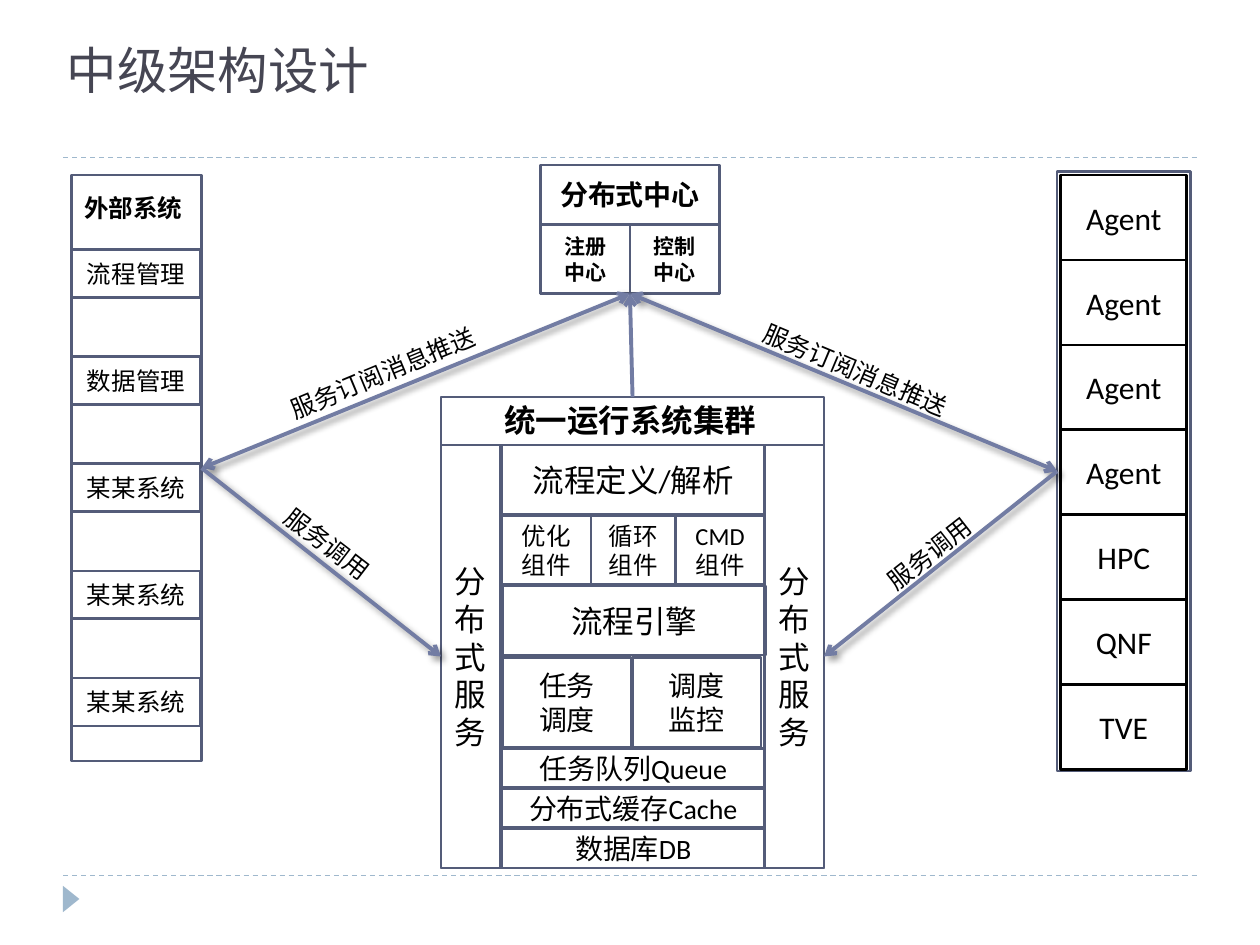
from pptx import Presentation
from pptx.dml.color import RGBColor
from pptx.enum.dml import MSO_LINE
from pptx.enum.shapes import MSO_CONNECTOR, MSO_SHAPE
from pptx.enum.text import MSO_ANCHOR, MSO_AUTO_SIZE, PP_ALIGN
from pptx.oxml import parse_xml
from pptx.oxml.ns import nsdecls, qn
from pptx.util import Pt

BLACK = RGBColor(0x00, 0x00, 0x00)
WHITE = RGBColor(0xFF, 0xFF, 0xFF)
TITLE = RGBColor(0x46, 0x46, 0x53)
BORDER = RGBColor(0x54, 0x5C, 0x79)
ARROW = RGBColor(0x72, 0x7C, 0xA3)
ACCENT = RGBColor(0x9F, 0xB8, 0xCD)

SHADOW = (
    f'<a:effectLst {nsdecls("a")}><a:outerShdw blurRad="50800" dist="38100" dir="2700000">'
    '<a:srgbClr val="000000"><a:alpha val="40000"/></a:srgbClr></a:outerShdw></a:effectLst>'
)
NO_SHADOW = f'<a:effectLst {nsdecls("a")}/>'


def add_box(shapes, bounds, text="", size=14, bold=False, border=BORDER):
    """Add centred text in an unfilled rectangle, or in a text box if border is None."""
    bounds = [Pt(value) for value in bounds]
    if border is None:
        shape = shapes.add_textbox(*bounds)
    else:
        shape = shapes.add_shape(MSO_SHAPE.RECTANGLE, *bounds)
        shape.shadow.inherit = False
        shape.fill.background()
        shape.line.color.rgb = border
        shape.line.width = Pt(1.5)
    frame = shape.text_frame
    frame.word_wrap = True
    frame.vertical_anchor = MSO_ANCHOR.MIDDLE
    if text:
        for index, line in enumerate(text.split("\n")):
            paragraph = frame.paragraphs[0] if index == 0 else frame.add_paragraph()
            paragraph.alignment = PP_ALIGN.CENTER
            run = paragraph.add_run()
            run.text = line
            run.font.name = "Calibri"
            run.font.size = Pt(size)
            run.font.bold = bold
            run.font.color.rgb = BLACK
    return shape


def add_line(shapes, start, end, color, width, effects=NO_SHADOW):
    connector = shapes.add_connector(
        MSO_CONNECTOR.STRAIGHT, *[Pt(value) for value in (*start, *end)]
    )
    connector.line.color.rgb = color
    connector.line.width = Pt(width)
    connector._element.spPr.append(parse_xml(effects))
    return connector


presentation = Presentation()
presentation.slide_width = Pt(720)
presentation.slide_height = Pt(540)
slide = presentation.slides.add_slide(presentation.slide_layouts[6])
shapes = slide.shapes
slide.background.fill.solid()
slide.background.fill.fore_color.rgb = WHITE

# Page frame and title
for y in (500.4, 90):
    rule = add_line(shapes, (36, y), (684, y), ACCENT, 0.75)
    rule.line.dash_style = MSO_LINE.DASH

marker = shapes.add_shape(
    MSO_SHAPE.ISOSCELES_TRIANGLE, Pt(33.1), Pt(509), Pt(15.1), Pt(9.4)
)
marker.rotation = 90
marker.shadow.inherit = False
marker.fill.solid()
marker.fill.fore_color.rgb = ACCENT
marker.line.fill.background()

title = add_box(shapes, (31, 20.9, 648, 39.6), "中级架构设计", 28.8, border=None)
title.text_frame.vertical_anchor = MSO_ANCHOR.BOTTOM
title_paragraph = title.text_frame.paragraphs[0]
title_paragraph.alignment = PP_ALIGN.LEFT
title_paragraph.runs[0].font.name = "Roboto Slab"
title_paragraph.runs[0].font.color.rgb = TITLE

# Agents on the right
agents = add_box(shapes, (604.1, 97.9, 76.3, 342.7))
for row, name in enumerate(["Agent"] * 4 + ["HPC", "QNF", "TVE"]):
    add_box(shapes, (606.2, 100.1 + 48.5 * row, 72, 48.5), name, 18, border=BLACK)

# Distributed centre at the top
center_group = shapes.add_group_shape().shapes
center = add_box(center_group, (308.9, 94.3, 102.2, 73.5))
add_box(center_group, (308.9, 93.6, 102.2, 34.6), "分布式中心", 16, True, None)
for column, name in enumerate(["注册\n中心", "控制\n中心"]):
    add_box(center_group, (308.9 + 51.1 * column, 128.2, 51.1, 39.6), name, 12, True)

# External systems on the left
external = add_box(shapes, (41, 100.1, 74.2, 334.8))
add_box(shapes, (36.7, 103.7, 79.2, 29.5), "外部系统", 14, True, None)
for row, name in enumerate(["流程管理", "数据管理"] + ["某某系统"] * 3):
    add_box(shapes, (41, 142.6 + 61.2 * row, 73.6, 27.4), name)

# Unified runtime cluster
cluster = add_box(shapes, (252, 226.8, 218.9, 269.3))
add_box(shapes, (269.3, 224.6, 181.4, 31), "统一运行系统集群", 18, True, None)
left_service, right_service = [
    add_box(shapes, (x, 254.2, 33.9, 241.9), "分布式服务", 18) for x in (252, 437)
]
add_box(shapes, (286.6, 254.2, 150.5, 39.6), "流程定义/解析", 18)
for x, width, name in [
    (286.6, 51.1, "优化组件"),
    (337.7, 48.2, "循环组件"),
    (385.9, 51.1, "CMD\n组件"),
]:
    add_box(shapes, (x, 294.5, width, 39.6), name)
add_box(shapes, (287.3, 334.8, 150.5, 39.6), "流程引擎", 18)
for column, name in enumerate(["任务\n调度", "调度\n监控"]):
    add_box(shapes, (287.3 + 74.2 * column, 375.8, 73.4, 51.1), name, 16)
for row, name in enumerate(["任务队列Queue", "分布式缓存Cache", "数据库DB"]):
    add_box(shapes, (286.6, 427.7 + 23 * row, 150.5, 22.3), name, 16)

# Arrows between the blocks: shape and side for each end
TOP, LEFT, BOTTOM, RIGHT = range(4)
for source, source_side, target, target_side, two_way, effects in [
    (center, BOTTOM, external, RIGHT, True, SHADOW),
    (center, BOTTOM, agents, LEFT, True, SHADOW),
    (external, RIGHT, left_service, LEFT, False, SHADOW),
    (agents, LEFT, right_service, RIGHT, False, SHADOW),
    (cluster, TOP, center, BOTTOM, False, NO_SHADOW),
]:
    arrow = add_line(shapes, (0, 0), (0, 0), ARROW, 2.25, effects)
    arrow.begin_connect(source, source_side)
    arrow.end_connect(target, target_side)
    outline = arrow._element.spPr.find(qn("a:ln"))
    for end in ["headEnd", "tailEnd"] if two_way else ["tailEnd"]:
        outline.append(parse_xml(f'<a:{end} {nsdecls("a")} type="arrow"/>'))

# Labels along the arrows
for x, y, width, angle, text in [
    (496.1, 303.8, 71.3, 321.9, "服务调用"),
    (151.9, 298.8, 71.3, 37.5, "服务调用"),
    (155.5, 200.9, 127.4, 337.4, "服务订阅消息推送"),
    (425.5, 199.4, 127.4, 22.8, "服务订阅消息推送"),
]:
    label = add_box(shapes, (x, y, width, 24.5), text, border=None)
    label.rotation = angle
    label.text_frame.word_wrap = False
    label.text_frame.auto_size = MSO_AUTO_SIZE.SHAPE_TO_FIT_TEXT
    label.text_frame.vertical_anchor = MSO_ANCHOR.TOP
    label.text_frame.paragraphs[0].alignment = PP_ALIGN.LEFT

presentation.save("out.pptx")
